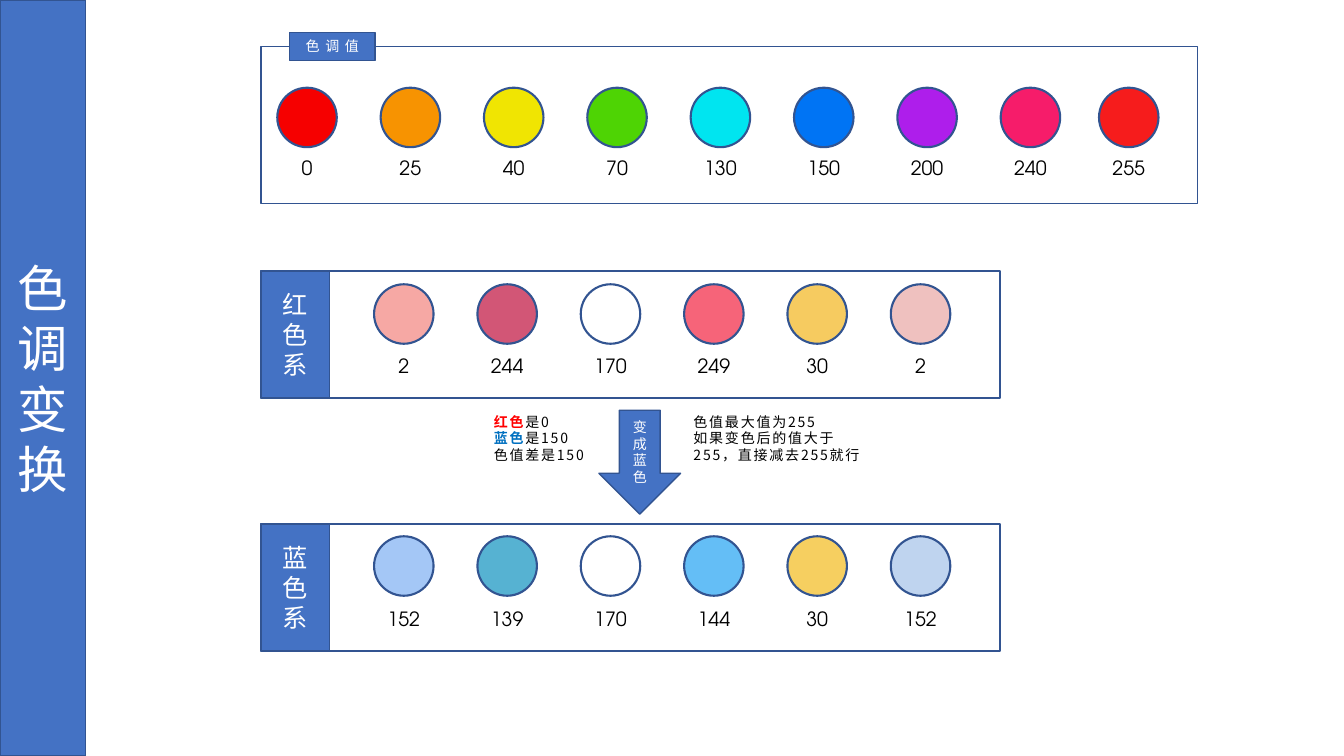
from lxml.etree import SubElement
from pptx import Presentation
from pptx.dml.color import RGBColor
from pptx.enum.shapes import MSO_SHAPE
from pptx.enum.text import MSO_ANCHOR, MSO_AUTO_SIZE, PP_ALIGN
from pptx.oxml.ns import qn
from pptx.util import Inches, Pt

BLUE = RGBColor(0x44, 0x72, 0xC4)
OUTLINE = RGBColor(0x32, 0x54, 0x91)
WHITE = RGBColor(0xFF, 0xFF, 0xFF)
BLACK = RGBColor(0, 0, 0)
RED_WORD = RGBColor(0xFF, 0, 0)
BLUE_WORD = RGBColor(0, 0x70, 0xC0)
CHINESE_FONT = "Noto Sans CJK SC"
NUMBER_FONT = "TeX Gyre Adventor"

TITLE = "色调变换"
HUES = [("0", "F60000"), ("25", "F79301"), ("40", "F0E502"),
        ("70", "4ED404"), ("130", "00E5F0"), ("150", "0074F4"),
        ("200", "AE1EEB"), ("240", "F61C6A"), ("255", "F61C1C")]
REDS = [("2", "F6A8A4"), ("244", "D25676"), ("170", "FFFFFF"),
        ("249", "F66479"), ("30", "F6CB60"), ("2", "EFC1BF")]
BLUES = [("152", "A4C7F6"), ("139", "56B2D2"), ("170", "FFFFFF"),
         ("144", "64BEF6"), ("30", "F6CF60"), ("152", "BFD4EF")]

PANEL_LEFT = 2.59
# frame (top, width, height, line), tag (text, left, top, width, height, size,
# spacing), swatches (left, top, label top), colours
PANELS = [
    ((0.46, 9.29, 1.56, 1), ("色调值", 2.87, 0.32, 0.85, 0.28, 10, 4),
     (2.75, 0.87, 1.5), HUES),
    ((2.69, 7.33, 1.26, 1.5), ("红色系", PANEL_LEFT, 2.69, 0.68, 1.26, 18, 0),
     (3.71, 2.82, 3.46), REDS),
    ((5.2, 7.33, 1.26, 1.5), ("蓝色系", PANEL_LEFT, 5.2, 0.68, 1.26, 18, 0),
     (3.71, 5.32, 5.97), BLUES),
]
SWATCH = 0.59
PITCH = 1.02 + 0.005
LAST_LEFT = 10.9

# left, width, paragraphs of (text, colour, bold)
NOTES = [
    (4.8, 1.14, [[("红色", RED_WORD, True), ("是0", BLACK, False)],
                 [("蓝色", BLUE_WORD, True), ("是150", BLACK, False)],
                 [("色值差是150", BLACK, False)]]),
    (6.78, 1.97, [[("色值最大值为255", BLACK, False)],
                  [("如果变色后的值大于255，直接减去255就行", BLACK, False)]]),
]


def inches(*lengths):
    """Turn plain numbers into slide lengths."""
    return [Inches(length) for length in lengths]


def add_span(para, text, size, color, font=CHINESE_FONT, bold=False, spacing=0):
    """Add one formatted run, with letter spacing in points."""
    span = para.add_run()
    span.text = text
    span.font.size = Pt(size)
    span.font.bold = bold
    span.font.name = font
    span.font.color.rgb = color
    properties = span._r.get_or_add_rPr()
    SubElement(properties, qn("a:ea")).set("typeface", font)
    if spacing:
        properties.set("spc", str(round(spacing * 100)))


def paint(shape, fill, line_width):
    """Give a shape its fill (or none) and the shared outline colour."""
    if fill is None:
        shape.fill.background()
    else:
        shape.fill.solid()
        shape.fill.fore_color.rgb = fill
    shape.line.color.rgb = OUTLINE
    shape.line.width = Pt(line_width)


def add_figure(shapes, kind, place, fill, line_width):
    """Add a painted preset shape without a shadow."""
    shape = shapes.add_shape(kind, *inches(*place))
    shape.shadow.inherit = False
    paint(shape, fill, line_width)
    return shape


def write_caption(shape, text, size, spacing=0):
    """Write centred white text that wraps inside a blue shape."""
    frame = shape.text_frame
    frame.word_wrap = True
    frame.auto_size = MSO_AUTO_SIZE.NONE
    frame.vertical_anchor = MSO_ANCHOR.MIDDLE
    para = frame.paragraphs[0]
    para.alignment = PP_ALIGN.CENTER
    para.space_before = Pt(0)
    para.line_spacing = Pt(size * 1.2)
    add_span(para, text, size, WHITE, spacing=spacing)


def add_text_frame(shapes, place):
    """Add a wrapping text box and return its text frame."""
    frame = shapes.add_textbox(*inches(*place)).text_frame
    frame.word_wrap = True
    return frame


def add_panel(page, frame, tag, swatches, colours):
    """Group a frame, its blue tag and a row of numbered swatches."""
    shapes = page.shapes.add_group_shape().shapes
    start, swatch_top, label_top = swatches
    for index, (value, colour) in enumerate(colours):
        left = min(start + index * PITCH, LAST_LEFT)
        add_figure(shapes, MSO_SHAPE.OVAL, (left, swatch_top, SWATCH, SWATCH),
                   RGBColor.from_string(colour), 1.5)
        label = add_text_frame(shapes, (left, label_top, SWATCH, 0.34))
        para = label.paragraphs[0]
        para.alignment = PP_ALIGN.CENTER
        add_span(para, value, 14, BLACK, NUMBER_FONT)
    top, width, height, line_width = frame
    add_figure(shapes, MSO_SHAPE.RECTANGLE, (PANEL_LEFT, top, width, height),
               None, line_width)
    text, *place, size, spacing = tag
    box = add_figure(shapes, MSO_SHAPE.RECTANGLE, place, BLUE, 1)
    write_caption(box, text, size, spacing)


def add_note(page, left, width, lines):
    """Add a note beside the arrow."""
    frame = add_text_frame(page.shapes, (left, 4.05, width, 0.61))
    for index, spans in enumerate(lines):
        para = frame.add_paragraph() if index else frame.paragraphs[0]
        para.line_spacing = Pt(12)
        for text, color, bold in spans:
            add_span(para, text, 10, color, bold=bold, spacing=1.3)


deck = Presentation()
deck.slide_width, deck.slide_height = inches(13.33, 7.5)
page = deck.slides.add_slide(deck.slide_layouts[5])

title = page.shapes.title
title.left, title.top, title.width, title.height = inches(0, 0, 0.85, 7.5)
paint(title, BLUE, 1)
write_caption(title, TITLE, 36)

for panel in PANELS:
    add_panel(page, *panel)

arrow = add_figure(page.shapes, MSO_SHAPE.DOWN_ARROW, (5.94, 4.07, 0.81, 1.03), BLUE, 1)
write_caption(arrow, "变成蓝色", 10)
for note in NOTES:
    add_note(page, *note)

deck.save("out.pptx")
